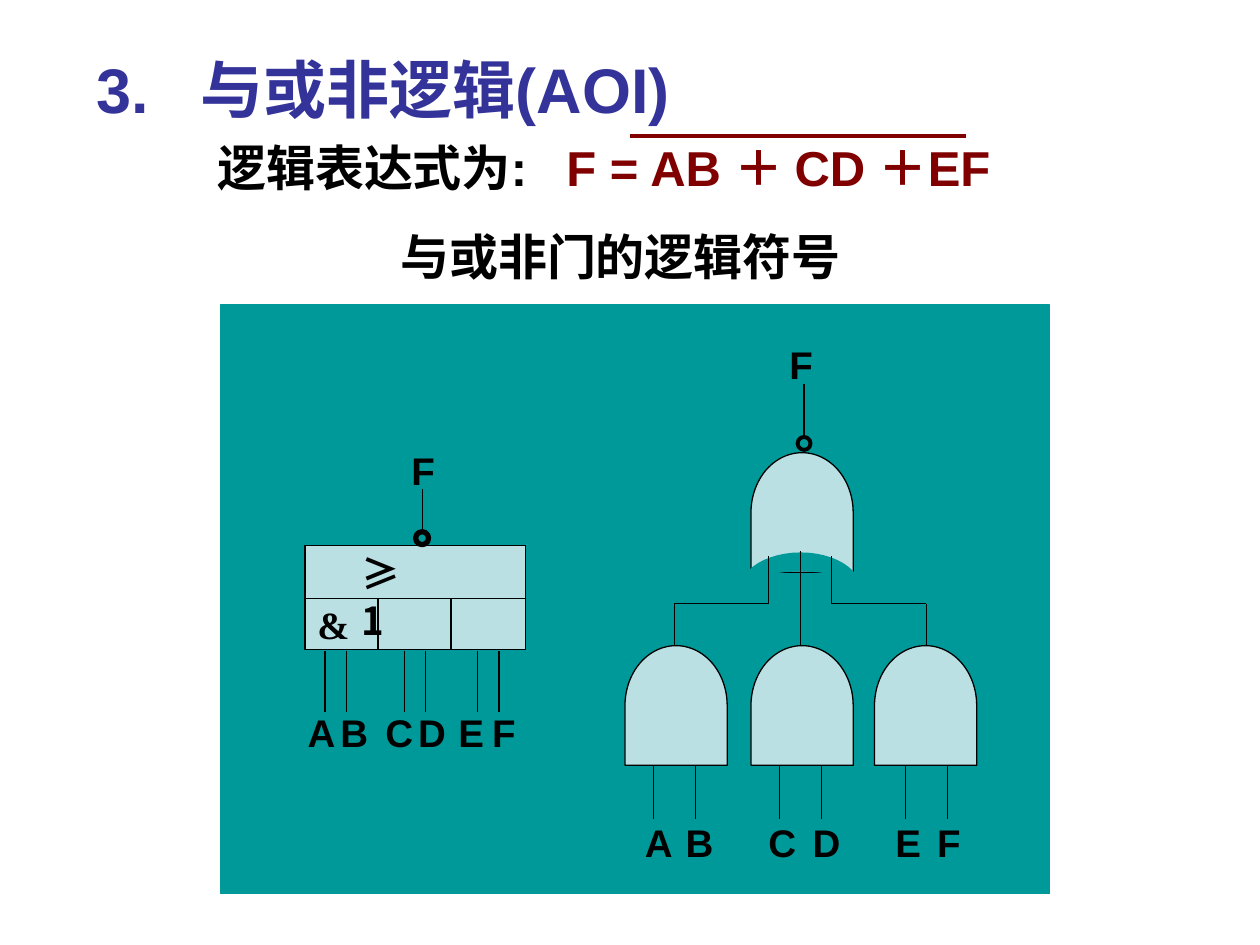
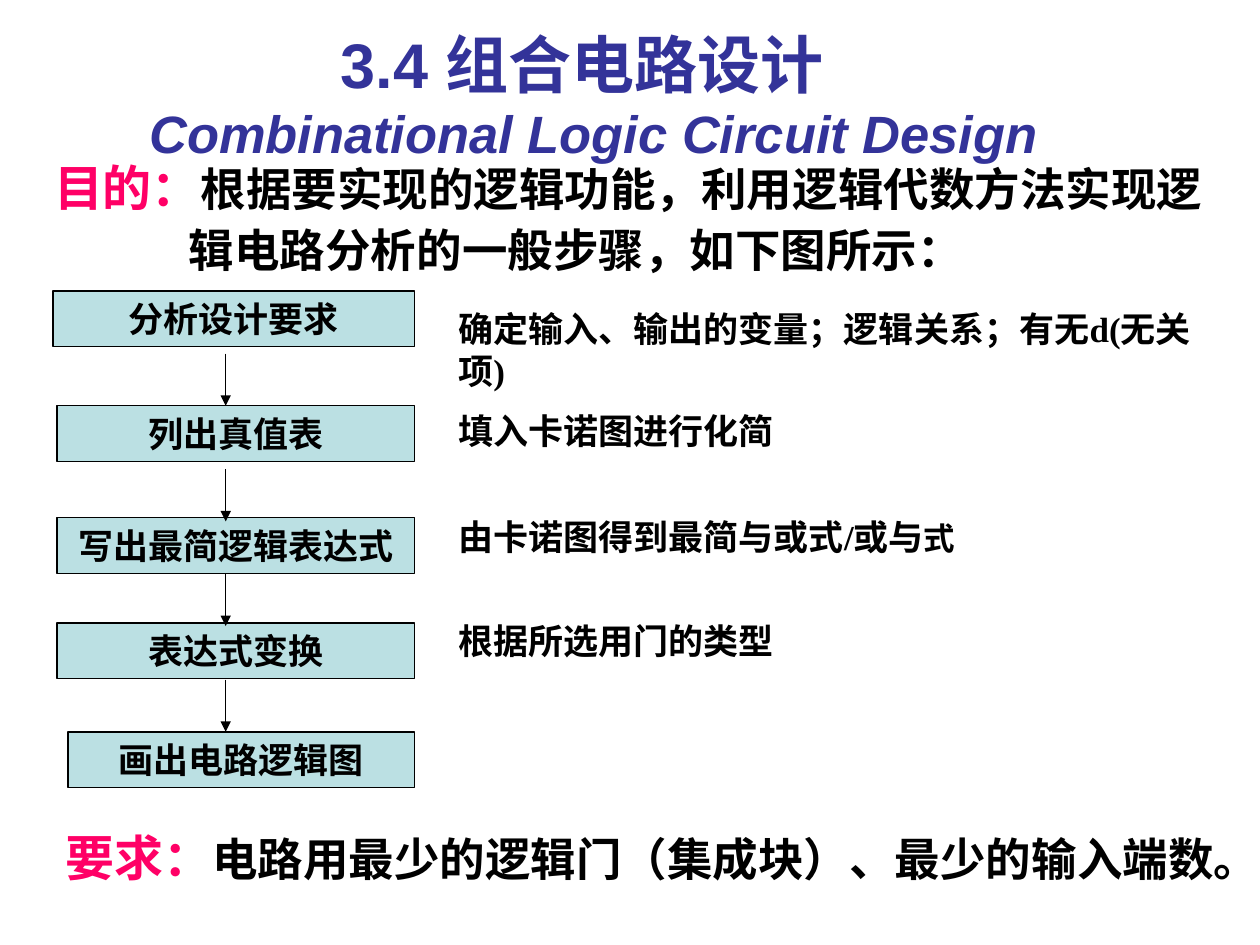
"""Build two slides on AND-OR-INVERT logic and combinational circuit design."""
import dataclasses
import math

import lxml.etree
import pptx
import pptx.dml.color
import pptx.enum.shapes
import pptx.enum.text
import pptx.oxml.ns
import pptx.util

Cm = pptx.util.Cm
Pt = pptx.util.Pt
Align = pptx.enum.text.PP_ALIGN
Anchor = pptx.enum.text.MSO_ANCHOR
Shape = pptx.enum.shapes.MSO_SHAPE
qn = pptx.oxml.ns.qn


def style(size, color, name="Arial", **more):
    return {"size": Pt(size), "name": name, "bold": True, **more}, color


@dataclasses.dataclass
class Theme:
    black: str = "000000"
    navy: str = "333399"
    red: str = "800000"
    pink: str = "FF0066"
    teal: str = "009999"
    pale: str = "BBE0E3"
    asian: str = "Noto Sans CJK SC"
    serif: str = "Times New Roman"
    thin: float = 0.75

    def __post_init__(self):
        self.type = {
            "title": style(36, self.navy),
            "sub": style(30, self.navy, italic=True),
            "lead": style(28, self.black),
            "math": style(28, self.red),
            "aim": style(28, self.pink),
            "need": style(28, self.pink, self.serif),
            "body": style(26, self.black),
            "text": style(26, self.black, self.serif),
            "pin": style(22, self.black),
            "sign": style(22, self.black, self.asian),
            "amp": style(22, self.black, self.serif),
            "step": style(20, self.black, self.serif),
            "tail": style(18, self.black),
        }


class Deck:
    """Hold the theme and the current slide, and draw each kind of element."""

    def __init__(self, theme):
        self.theme = theme
        self.file = pptx.Presentation()
        self.file.slide_width = Cm(25.4)
        self.file.slide_height = Cm(19.05)

    def page(self):
        self.slide = self.file.slides.add_slide(self.file.slide_layouts[6])
        self.shapes = self.slide.shapes

    def rgb(self, color):
        return pptx.dml.color.RGBColor.from_string(color)

    def paint(self, shape, fill, line, width):
        shape.shadow.inherit = False
        if fill:
            shape.fill.solid()
            shape.fill.fore_color.rgb = self.rgb(fill)
        else:
            shape.fill.background()
        shape.line.color.rgb = self.rgb(line)
        shape.line.width = Pt(width)
        return shape

    def block(self, x, y, w, h, fill=None, line=None, width=None,
              kind=Shape.RECTANGLE):
        shape = self.shapes.add_shape(kind, Cm(x), Cm(y), Cm(w), Cm(h))
        return self.paint(shape, fill, line or self.theme.black,
                          width or self.theme.thin)

    def ring(self, x, y, width):
        self.block(x - 0.13, y - 0.13, 0.26, 0.26, width=width, kind=Shape.OVAL)

    def gate(self, x, y):
        long, wide = 2.41, 2.06
        shape = self.block(x - long / 2, y - wide / 2, long, wide,
                           self.theme.pale, kind=Shape.FLOWCHART_DELAY)
        shape.rotation = 270

    def arch(self, x, y, reach, high, low):
        turns = [math.pi * i / 24 for i in range(25)]
        dots = [(x + reach * math.cos(t), y - high * math.sin(t)) for t in turns]
        dots += [(x - reach * math.cos(t), y - low * math.sin(t)) for t in turns]
        dots = [(Cm(a), Cm(b)) for a, b in dots]
        pen = self.shapes.build_freeform(*dots[0])
        pen.add_line_segments(dots[1:], close=True)
        teal = self.theme.teal
        self.paint(pen.convert_to_shape(), teal, teal, self.theme.thin)

    def line(self, x, y, to_x, to_y, color=None, width=None, arrow=False):
        kind = pptx.enum.shapes.MSO_CONNECTOR.STRAIGHT
        wire = self.shapes.add_connector(kind, Cm(x), Cm(y), Cm(to_x), Cm(to_y))
        wire.line.color.rgb = self.rgb(color or self.theme.black)
        wire.line.width = Pt(width or self.theme.thin)
        props = wire._element.spPr
        if arrow:
            lxml.etree.SubElement(props.find(qn("a:ln")), qn("a:tailEnd"),
                                  type="triangle")
        lxml.etree.SubElement(props, qn("a:effectLst"))

    def flow(self, frame, paras, anchor=Anchor.TOP):
        frame.word_wrap = True
        frame.vertical_anchor = anchor
        for i, (runs, form) in enumerate(paras):
            para = frame.add_paragraph() if i else frame.paragraphs[0]
            props = para._p.get_or_add_pPr()
            form = dict(form)
            tabs = form.pop("tabs", ())
            left = form.pop("left", 0)
            props.set("marL", str(Cm(left)))
            if tabs:
                stops = lxml.etree.SubElement(props, qn("a:tabLst"))
                for stop in tabs:
                    lxml.etree.SubElement(stops, qn("a:tab"),
                                          pos=str(Cm(stop)), algn="l")
            for key, value in form.items():
                setattr(para, key, value)
            for text, name in runs:
                self.span(para, text, name)

    def span(self, para, text, name):
        run = para.add_run()
        run.text = text
        form, color = self.theme.type[name]
        for key, value in form.items():
            setattr(run.font, key, value)
        run.font.color.rgb = self.rgb(color)
        lxml.etree.SubElement(run._r.get_or_add_rPr(), qn("a:ea"),
                              typeface=self.theme.asian)

    def text(self, x, y, w, h, *paras, **form):
        box = self.shapes.add_textbox(Cm(x), Cm(y), Cm(w), Cm(h))
        self.flow(box.text_frame, paras, **form)
        return box

    def label(self, text, x, y):
        box = self.text(x - 0.53, y, 1.06, 1.19,
                        ([(text, "pin")], {"alignment": Align.CENTER}))
        box.text_frame.margin_left = box.text_frame.margin_right = 0

    def pins(self, names, xs, marks, top, end, base):
        for name, x, mark in zip(names, xs, marks):
            self.line(x, top, x, end)
            self.label(name, mark, base)

    def step(self, text, x, y, w):
        box = self.block(x, y, w, 1.12, self.theme.pale)
        self.flow(box.text_frame,
                  [([(text, "step")], {"alignment": Align.CENTER})],
                  Anchor.MIDDLE)


def draw_block(deck):
    left, right, top, mid, base = 6.15, 10.59, 11, 12.07, 13.1
    deck.block(left, top, right - left, base - top, deck.theme.pale)
    deck.ring(8.51, 10.85, 3)
    deck.line(8.51, 9.86, 8.51, 10.67)
    deck.label("F", 8.53, 8.89)
    deck.line(left, mid, right, mid)
    for x in (7.62, 9.09):
        deck.line(x, mid, x, base)
    deck.text(7.04, 10.97, 1.6, 1.19, ([("≥1", "sign")], {}))
    deck.text(left, 11.99, 1.07, 1.19, ([("&", "amp")], {}))
    for names, x, mark in (("AB", 6.55, 6.48), ("CD", 8.15, 8.05),
                           ("EF", 9.63, 9.5)):
        deck.pins(names, (x, x + 0.43), (mark, mark + 0.66),
                  13.13, 14.35, 14.17)


def draw_gates(deck):
    deck.label("F", 16.15, 6.76)
    deck.ring(16.21, 8.94, 2.25)
    deck.line(16.21, 8.81, 16.21, 7.75)
    for names, x, pin, marks in (("AB", 13.63, 13.18, (13.28, 14.1)),
                                 ("CD", 16.17, 15.72, (15.77, 16.66)),
                                 ("EF", 18.66, 18.26, (18.31, 19.13))):
        deck.gate(x, 14.22)
        deck.pins(names, (pin, pin + 0.84), marks, 15.44, 16.51, 16.38)
    deck.gate(16.17, 10.33)
    deck.arch(16.14, 11.89, 1.21, 0.74, 0.38)
    bend = 12.17
    for near, far in ((15.49, 13.59), (16.76, 18.67)):
        deck.line(near, bend, near, 11.2)
        deck.line(near, bend, far, bend)
        deck.line(far, bend, far, 13)
    deck.line(16.13, 13, 16.13, 11.1)


def draw_symbols(deck):
    deck.page()
    deck.text(
        1.7, 0.64, 21.59, 3.38,
        ([("3.\t与或非逻辑(AOI)", "title")], {"line_spacing": 1.2, "tabs": [2.1]}),
        ([("\t逻辑表达式为:\t", "lead"), ("F = AB ＋ CD ＋EF", "math")],
         {"line_spacing": 1.2, "tabs": [2.43, 9.47]}),
        anchor=Anchor.MIDDLE)
    deck.line(12.7, 2.74, 19.48, 2.74, deck.theme.red, 2.25)
    deck.text(7.82, 4.45, 11.43, 1.7, ([("与或非门的逻辑符号", "lead")], {}))
    teal = deck.theme.teal
    deck.block(4.45, 6.15, 16.71, 11.86, teal, teal)
    draw_block(deck)
    draw_gates(deck)


def draw_design(deck):
    deck.page()
    mid = {"alignment": Align.CENTER}
    deck.text(0.84, 0.43, 21.79, 2.97,
              ([("3.4 组合电路设计", "title")], mid),
              ([("Combinational Logic Circuit Design", "sub")],
               {**mid, "left": 0.48}),
              anchor=Anchor.MIDDLE)
    deck.text(
        0.84, 3.18, 23.93, 2.74,
        ([("目的：", "aim"),
          ("根据要实现的逻辑功能，利用逻辑代数方法实现逻", "body")],
         {"line_spacing": 0.9}),
        ([("辑电路分析的一般步骤，如下图所示：", "body")],
         {"line_spacing": 0.9, "space_before": Pt(6.5), "left": 2.72}))
    for text, x, y in (("分析设计要求", 1.07, 5.87), ("列出真值表", 1.15, 8.18),
                       ("写出最简逻辑表达式", 1.15, 10.44),
                       ("表达式变换", 1.15, 12.56),
                       ("画出电路逻辑图", 1.37, 14.76)):
        deck.step(text, x, y, 8.36 - x)
    deck.text(1.07, 16.56, 24.13, 1.45,
              ([("要求：", "need"),
                ("电路用最少的逻辑门（集成块）、最少的输入端数。", "text")], {}))
    for y, w, h, *runs in (
            (6.07, 16.08, 1.96,
             ("确定输入、输出的变量；逻辑关系；有无d(无关项)", "step")),
            (8.13, 7.62, 1.12, ("填入卡诺图进行化简", "step")),
            (10.26, 10.92, 1.12,
             ("由卡诺图得到最简与或式/或与", "step"), ("式", "tail")),
            (12.37, 9.96, 1.12, ("根据所选用门的类型", "step"))):
        deck.text(8.99, y, w, h, (runs, {}))
    for y in (7.13, 9.46, 11.57, 13.7):
        deck.line(4.55, y, 4.55, y + 1.05, arrow=True)


def main():
    deck = Deck(Theme())
    draw_symbols(deck)
    draw_design(deck)
    deck.file.save("out.pptx")


if __name__ == "__main__":
    main()
